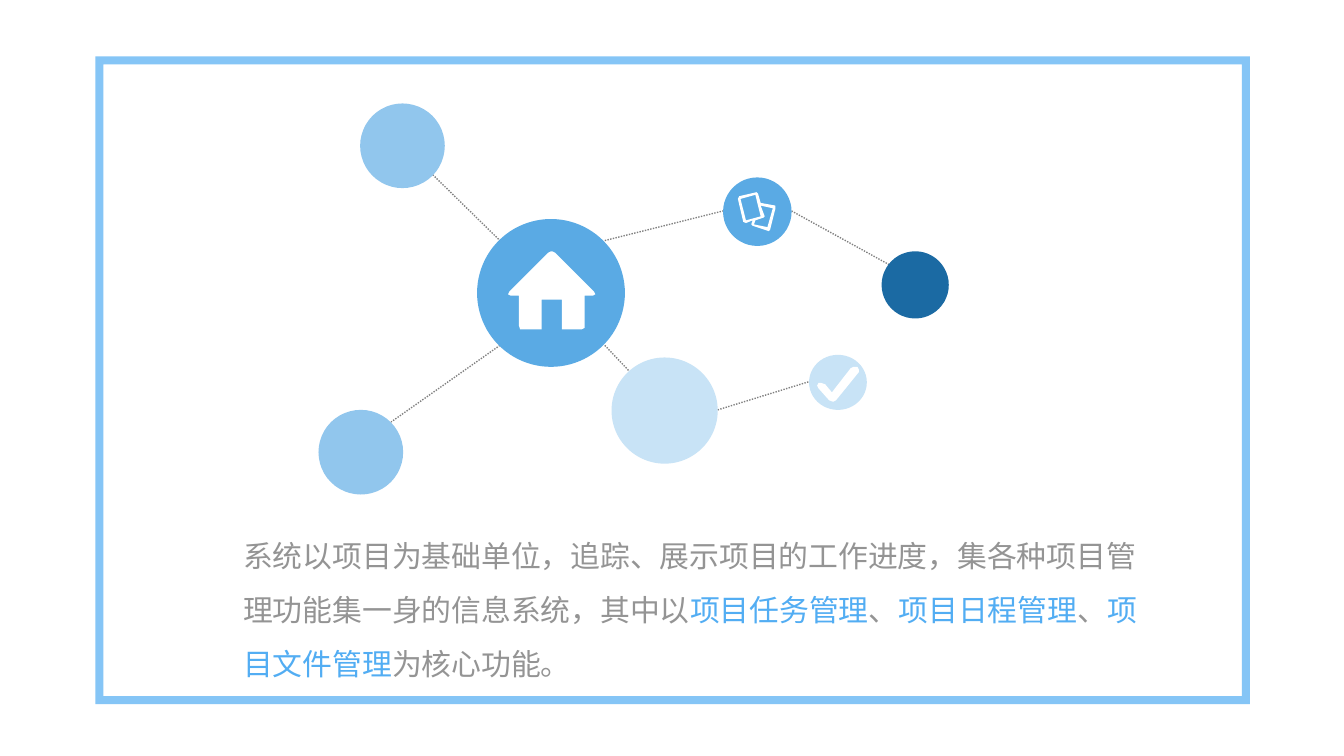
"""Build a slide with a network of circles above a paragraph on project management."""
from dataclasses import dataclass

from lxml.etree import SubElement
from pptx import Presentation
from pptx.dml.color import RGBColor
from pptx.enum.dml import MSO_LINE
from pptx.enum.shapes import MSO_CONNECTOR, MSO_SHAPE
from pptx.enum.text import MSO_ANCHOR, MSO_AUTO_SIZE, PP_ALIGN
from pptx.oxml.ns import qn
from pptx.shapes.autoshape import Shape
from pptx.slide import Slide
from pptx.util import Inches, Pt

COLORS = {
    "pale": "C8E3F6",
    "light": "91C6ED",
    "mid": "5AAAE4",
    "deep": "1B6AA3",
    "key": "52ADF3",
    "text": "949494",
    "link": "808080",
    "white": "FFFFFF",
}


@dataclass(frozen=True)
class Node:
    left: float
    top: float
    width: float
    height: float
    color: str


@dataclass(frozen=True)
class Link:
    x1: float
    y1: float
    x2: float
    y2: float


@dataclass(frozen=True)
class Icon:
    """Closed outlines in hundredths of an inch."""

    rings: tuple[tuple[tuple[int, int], ...], ...]


LINKS = (
    Link(3.22, 1.3, 3.72, 1.79),
    Link(3.72, 2.57, 2.91, 3.14),
    Link(4.5, 2.57, 4.69, 2.77),
    Link(4.5, 1.79, 5.38, 1.57),
    Link(5.89, 1.57, 6.69, 2.01),
    Link(5.34, 3.05, 6.02, 2.84),
)
NODES = (
    Node(6.02, 2.64, 0.43, 0.41, "pale"),
    Node(6.56, 1.87, 0.5, 0.5, "deep"),
    Node(3.55, 1.63, 1.1, 1.1, "mid"),
    Node(4.55, 2.66, 0.79, 0.79, "pale"),
    Node(2.68, 0.77, 0.63, 0.63, "light"),
    Node(5.38, 1.32, 0.51, 0.51, "mid"),
    Node(2.37, 3.05, 0.63, 0.63, "light"),
)
HOUSE = Icon(((
    (442, 217), (413, 188), (411, 187), (410, 187), (408, 188), (379, 217),
    (378, 219), (380, 220), (386, 220), (386, 242), (387, 245), (389, 245),
    (403, 245), (403, 223), (418, 223), (418, 245), (433, 245), (435, 244),
    (435, 242), (435, 220), (441, 220), (443, 219),
),))
CARDS = Icon((
    ((577, 153), (566, 151), (564, 144), (563, 143), (550, 146), (549, 148),
     (553, 165), (555, 166), (560, 164), (559, 167), (560, 168), (572, 172),
     (573, 171), (577, 155)),
    ((551, 148), (562, 145), (566, 161), (555, 164)),
    ((571, 169), (561, 167), (562, 164), (568, 162), (569, 161), (566, 153),
     (575, 155)),
))
CHECK = Icon(((
    (620, 299), (617, 298), (609, 289), (608, 287), (609, 285), (611, 285),
    (614, 286), (619, 292), (633, 274), (635, 273), (638, 273), (639, 275),
    (639, 277), (622, 298),
),))
RUNS = (
    ("系统以项目为基础单位，追踪、展示项目的工作进度，集各种项目管理功能集一身的信息系统，其中以", "text"),
    ("项目任务管理", "key"),
    ("、", "text"),
    ("项目日程管理", "key"),
    ("、", "text"),
    ("项目文件管理", "key"),
    ("为核心功能。", "text"),
)


def shade(name: str) -> RGBColor:
    return RGBColor.from_string(COLORS[name])


def paint(shape: Shape, color: str) -> None:
    shape.shadow.inherit = False
    shape.fill.solid()
    shape.fill.fore_color.rgb = shade(color)
    shape.line.fill.background()


def draw_link(slide: Slide, link: Link) -> None:
    line = slide.shapes.add_connector(
        MSO_CONNECTOR.STRAIGHT,
        Inches(link.x1), Inches(link.y1), Inches(link.x2), Inches(link.y2),
    )
    line.line.color.rgb = shade("link")
    line.line.width = Pt(0.75)
    line.line.dash_style = MSO_LINE.ROUND_DOT
    SubElement(line._element.spPr, qn("a:effectLst"))


def draw_node(slide: Slide, node: Node) -> None:
    disc = slide.shapes.add_shape(
        MSO_SHAPE.OVAL,
        Inches(node.left), Inches(node.top), Inches(node.width), Inches(node.height),
    )
    paint(disc, node.color)


def draw_icon(slide: Slide, icon: Icon) -> None:
    first, *rest = icon.rings
    pen = slide.shapes.build_freeform(*first[0], scale=Inches(0.01))
    pen.add_line_segments(first[1:], close=True)
    for ring in rest:
        pen.move_to(*ring[0])
        pen.add_line_segments(ring[1:], close=True)
    paint(pen.convert_to_shape(), "white")


def draw_frame(slide: Slide) -> None:
    frame = slide.shapes.add_shape(
        MSO_SHAPE.RECTANGLE, Inches(0.74), Inches(0.45), Inches(8.53), Inches(4.76)
    )
    frame.shadow.inherit = False
    frame.fill.background()
    frame.line.color.rgb = shade("key")
    frame.line.width = Pt(4.25)
    edge = frame.line._ln
    SubElement(edge.find(".//" + qn("a:srgbClr")), qn("a:alpha"), val="70000")
    SubElement(edge, qn("a:miter"), lim="800000")


def write_body(slide: Slide) -> None:
    body = slide.placeholders[1]
    body.left, body.top = Inches(1.71), Inches(3.82)
    body.width, body.height = Inches(7.02), Inches(1.4)
    frame = body.text_frame
    frame.word_wrap = True
    frame.auto_size = MSO_AUTO_SIZE.NONE
    frame.vertical_anchor = MSO_ANCHOR.TOP
    para = frame.paragraphs[0]
    para.alignment = PP_ALIGN.LEFT
    para.line_spacing = 1.5
    para.space_before = Pt(0)
    for text, color in RUNS:
        run = para.add_run()
        run.text = text
        run.font.size = Pt(16)
        run.font.name = "Arial"
        run.font.color.rgb = shade(color)


def main() -> None:
    deck = Presentation()
    deck.slide_width = Inches(10)
    deck.slide_height = deck.slide_width * 9 // 16
    slide = deck.slides.add_slide(deck.slide_layouts.get_by_name("Section Header"))
    title = slide.shapes.title._element
    title.getparent().remove(title)
    write_body(slide)
    for link in LINKS:
        draw_link(slide, link)
    for node in NODES:
        draw_node(slide, node)
    draw_frame(slide)
    for icon in (HOUSE, CARDS, CHECK):
        draw_icon(slide, icon)
    deck.save("out.pptx")


if __name__ == "__main__":
    main()
